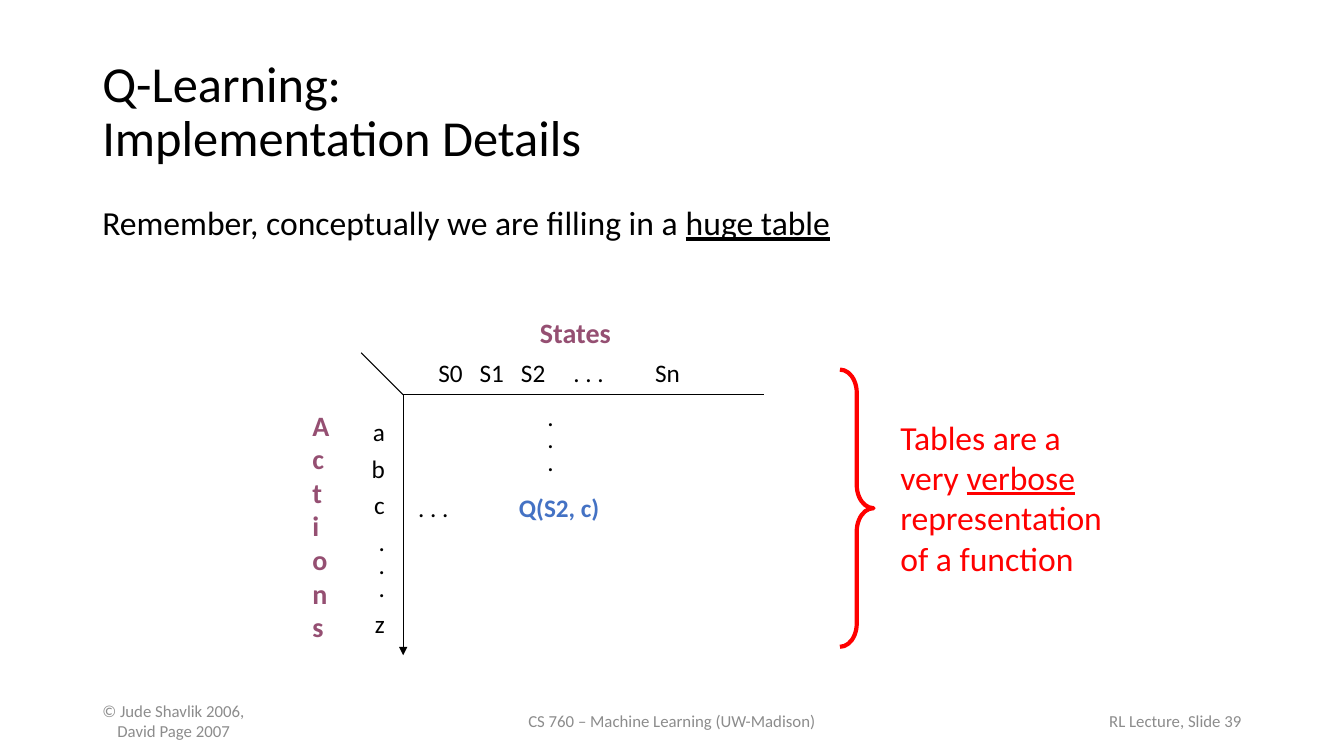
from lxml import etree
from pptx import Presentation, util as u
from pptx.dml.color import RGBColor
from pptx.enum import shapes, text
from pptx.oxml import ns

BLACK = RGBColor(0x00, 0x00, 0x00)
GRAY = RGBColor(0x8C, 0x8C, 0x8C)
RED = RGBColor(0xFF, 0x00, 0x00)
BLUE = RGBColor(0x44, 0x72, 0xC4)
PLUM = RGBColor(0x95, 0x4F, 0x72)

COLUMNS, ROWS = 160, 90
WIDTH, HEIGHT = u.Inches(13.33), u.Inches(7.5)
ORIGIN = (48, 47)
RIGHT, CENTER = text.PP_ALIGN.RIGHT, text.PP_ALIGN.CENTER
MIDDLE = text.MSO_ANCHOR.MIDDLE


def across(columns):
    return round(WIDTH * columns / COLUMNS)


def down(rows):
    return round(HEIGHT * rows / ROWS)


def place(left, top, width, height):
    return across(left), down(top), across(width), down(height)


def apply(target, values):
    for name, value in values.items():
        setattr(target, name, value)


def set_tabs(paragraph, stops):
    tab_list = etree.SubElement(paragraph._p.get_or_add_pPr(), ns.qn("a:tabLst"))
    for stop in stops:
        etree.SubElement(tab_list, ns.qn("a:tab"), pos=str(u.Inches(stop)), algn="l")


def add_run(paragraph, words, size, color, style):
    for index, line in enumerate(words.split("\n")):
        if index:
            paragraph.add_line_break()
        run = paragraph.add_run()
        run.text = line
        run.font.color.rgb = color
        apply(run.font, {"name": "Calibri", "size": u.Pt(size), **style})


def add_text(slide, box, paragraphs, size, color=BLACK, anchor=text.MSO_ANCHOR.TOP,
             tabs=(), formats=None, **common):
    frame = slide.shapes.add_textbox(*place(*box)).text_frame
    apply(frame, {"word_wrap": True, "vertical_anchor": anchor})
    for index, runs in enumerate(paragraphs):
        paragraph = frame.paragraphs[0] if index == 0 else frame.add_paragraph()
        if tabs:
            set_tabs(paragraph, tabs)
        apply(paragraph, {**common, **(formats or {}).get(index, {})})
        for words, style in [(runs, {})] if isinstance(runs, str) else runs:
            style = dict(style)
            add_run(paragraph, words, size, style.pop("color", color), style)
    return frame


def add_line(slide, end, arrow=False):
    (x1, y1), (x2, y2) = ORIGIN, end
    line = slide.shapes.add_connector(shapes.MSO_CONNECTOR.STRAIGHT,
                                      across(x1), down(y1), across(x2), down(y2))
    line.line.color.rgb = BLACK
    line.line.width = u.Pt(0.75)
    if arrow:
        etree.SubElement(line.line._get_or_add_ln(), ns.qn("a:tailEnd"), type="triangle")
    etree.SubElement(line._element.spPr, ns.qn("a:effectLst"))


def add_brace(slide, box):
    brace = slide.shapes.add_shape(shapes.MSO_SHAPE.RIGHT_BRACE, *place(*box))
    brace.shadow.inherit = False
    brace.fill.background()
    brace.line.color.rgb = RED
    brace.line.width = u.Pt(3)
    brace.adjustments[0] = 0.69


def add_footer(slide):
    top, height = 83.4, 4.8
    credit = add_text(slide, (11, top, 36, height),
                      ["© Jude Shavlik 2006,", "David Page 2007"], 12, GRAY, MIDDLE)
    credit.paragraphs[1]._p.get_or_add_pPr().set("marL", str(u.Inches(0.15)))
    add_text(slide, (53, top, 54, height), ["CS 760 – Machine Learning (UW-Madison)"],
             12, GRAY, MIDDLE, alignment=CENTER)
    add_text(slide, (113, top, 36, height), ["RL Lecture, Slide 39"],
             12, GRAY, MIDDLE, alignment=RIGHT)


def add_q_table(slide):
    for end, arrow in (((91, 47), False), ((48, 78), True), ((43, 42), False)):
        add_line(slide, end, arrow)
    add_text(slide, (54, 37, 29, 5.2), [[("States", {"bold": True})]], 20, PLUM,
             alignment=CENTER)
    add_text(slide, (36, 48, 4, 29.5), [[("Actions", {"bold": True})]], 20, PLUM)
    add_text(slide, (51, 42, 41, 4.8), ["S0\tS1\tS2\t. . .\tSn"], 18,
             tabs=(0.41, 0.82, 1.34, 2.15))
    spaced, tight = {"space_before": u.Pt(4.5)}, {"line_spacing": 0.75}
    add_text(slide, (40, 49, 7, 28.2), list("abc...z"), 18, alignment=RIGHT,
             formats={1: spaced, 2: spaced, 3: spaced, 4: tight, 5: tight, 6: spaced})
    add_text(slide, (64, 48, 4, 9.5), list("..."), 18, line_spacing=0.75)
    add_text(slide, (48.6, 58, 29, 4.8),
             [[(". . .\t", {}), ("Q(S2, c)", {"bold": True, "color": BLUE})]], 18, tabs=(1,))


def main():
    presentation = Presentation()
    apply(presentation, {"slide_width": WIDTH, "slide_height": HEIGHT})
    slide = presentation.slides.add_slide(presentation.slide_layouts[6])
    add_text(slide, (11, 4.8, 138, 17.4), ["Q-Learning:\nImplementation Details"], 36,
             anchor=MIDDLE, line_spacing=0.9)
    add_text(slide, (11, 24, 138, 57),
             [[("Remember, conceptually we are filling in a ", {}),
               ("huge table", {"underline": True})]], 24, line_spacing=0.9)
    add_q_table(slide)
    add_brace(slide, (100, 44, 4, 33))
    add_text(slide, (106, 49, 28, 20.6),
             [[("Tables are a very ", {}), ("verbose", {"underline": True}),
               (" representation of a function", {})]], 24, RED)
    add_footer(slide)
    presentation.save("out.pptx")


if __name__ == "__main__":
    main()
